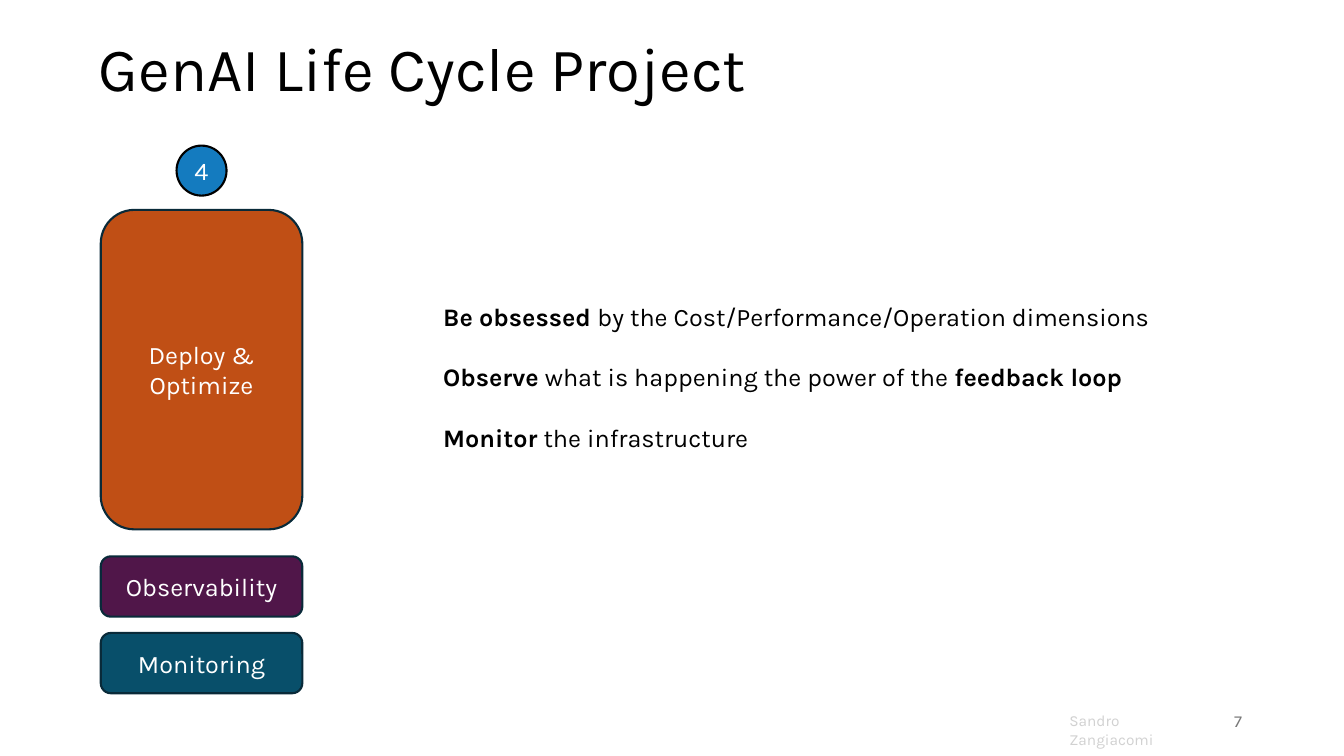
"""Builds the deploy and optimize slide of the GenAI life cycle deck."""
from pptx import Presentation
from pptx import util as u
from pptx.dml import color
from pptx.enum import shapes, text

COLORS = {
    "ink": "000000", "white": "FFFFFF", "edge": "092A39", "badge": "147BBF",
    "deploy": "C04F15", "observe": "501649", "monitor": "084F6A",
    "author": "D1D1D1", "number": "797979",
}
CENTER, RIGHT = text.PP_ALIGN.CENTER, text.PP_ALIGN.RIGHT
MIDDLE = text.MSO_ANCHOR.MIDDLE


def rgb(name):
    """Return the named colour."""
    return color.RGBColor.from_string(COLORS[name])


def set_all(target, formats):
    """Set each attribute of target from a dict of format values."""
    for name, value in formats.items():
        setattr(target, name, value)


def write(tf, paragraphs, size, ink, frame=None, para=None, gap=0):
    """Fill a text frame with paragraphs given as lists of (text, bold) runs."""
    set_all(tf, {"word_wrap": True, **(frame or {})})
    for i, runs in enumerate(paragraphs):
        p = tf.add_paragraph() if i else tf.paragraphs[0]
        set_all(p, para or {})
        if i and gap:
            p.space_before = u.Pt(gap)
        for words, bold in runs:
            r = p.add_run()
            r.text = words
            set_all(r.font, {"name": "Karla", "size": u.Pt(size), "bold": bold})
            r.font.color.rgb = rgb(ink)


def add_label(s, box, *args, **formats):
    """Add a text box at box, given in centimetres."""
    sp = s.shapes.add_textbox(*map(u.Cm, box))
    write(sp.text_frame, *args, **formats)


def add_node(s, kind, box, label, fill, edge="edge"):
    """Add an outlined shape with a centred white label."""
    sp = s.shapes.add_shape(kind, *map(u.Cm, box))
    sp.shadow.inherit = False
    sp.fill.solid()
    sp.fill.fore_color.rgb = rgb(fill)
    sp.line.color.rgb = rgb(edge)
    sp.line.width = u.Pt(1.5)
    write(sp.text_frame, [[(label, False)]], 18, "white",
          {"vertical_anchor": MIDDLE}, {"alignment": CENTER})


def add_title(s, box):
    """Add the slide title."""
    add_label(s, box, [[("GenAI Life Cycle Project", False)]], 44, "ink",
              frame={"vertical_anchor": MIDDLE}, para={"line_spacing": 0.9})


def add_stage(s, box):
    """Add the numbered badge with the stage and its two supports below."""
    x, y, w, h = box
    badge, bar, gap = 1.26, 1.52, 0.41
    kind = shapes.MSO_SHAPE
    add_node(s, kind.OVAL, (x + (w - badge) / 2, y, badge, badge),
             "4", "badge", "ink")
    add_node(s, kind.ROUNDED_RECTANGLE, (x, y + 1.62, w, 8.05),
             "Deploy & Optimize", "deploy")
    bars = [("Monitoring", "monitor"), ("Observability", "observe")]
    for i, (label, fill) in enumerate(bars):
        top = y + h - bar - i * (bar + gap)
        add_node(s, kind.ROUNDED_RECTANGLE, (x, top, w, bar), label, fill)


def add_messages(s, box):
    """Add the three key messages."""
    messages = [
        [("Be obsessed ", True),
         ("by the Cost/Performance/Operation dimensions", False)],
        [("Observe", True),
         (" what is happening the power of the ", False),
         ("feedback loop", True)],
        [("Monitor", True), (" the infrastructure", False)],
    ]
    add_label(s, box, messages, 18, "ink", gap=21.5)


def add_footer(s, box):
    """Add the author and the slide number."""
    x, y, w, h = box
    add_label(s, (x, y + 0.15, 3.78, 0.74),
              [[("Sandro Zangiacomi", False)]], 11, "author")
    add_label(s, (x, y, w, h), [[("7", False)]], 12, "number",
              frame={"vertical_anchor": MIDDLE}, para={"alignment": RIGHT})


def main():
    """Build and save the slide."""
    prs = Presentation()
    prs.slide_width, prs.slide_height = u.Cm(33.87), u.Cm(19.05)
    s = prs.slides.add_slide(prs.slide_layouts[6])
    add_title(s, (2.24, -0.03, 29.21, 3.68))
    add_stage(s, (2.54, 3.67, 5.08, 13.8))
    add_messages(s, (10.92, 7.47, 18.92, 4.11))
    add_footer(s, (26.7, 17.65, 4.85, 1.02))
    prs.save("out.pptx")


if __name__ == "__main__":
    main()
